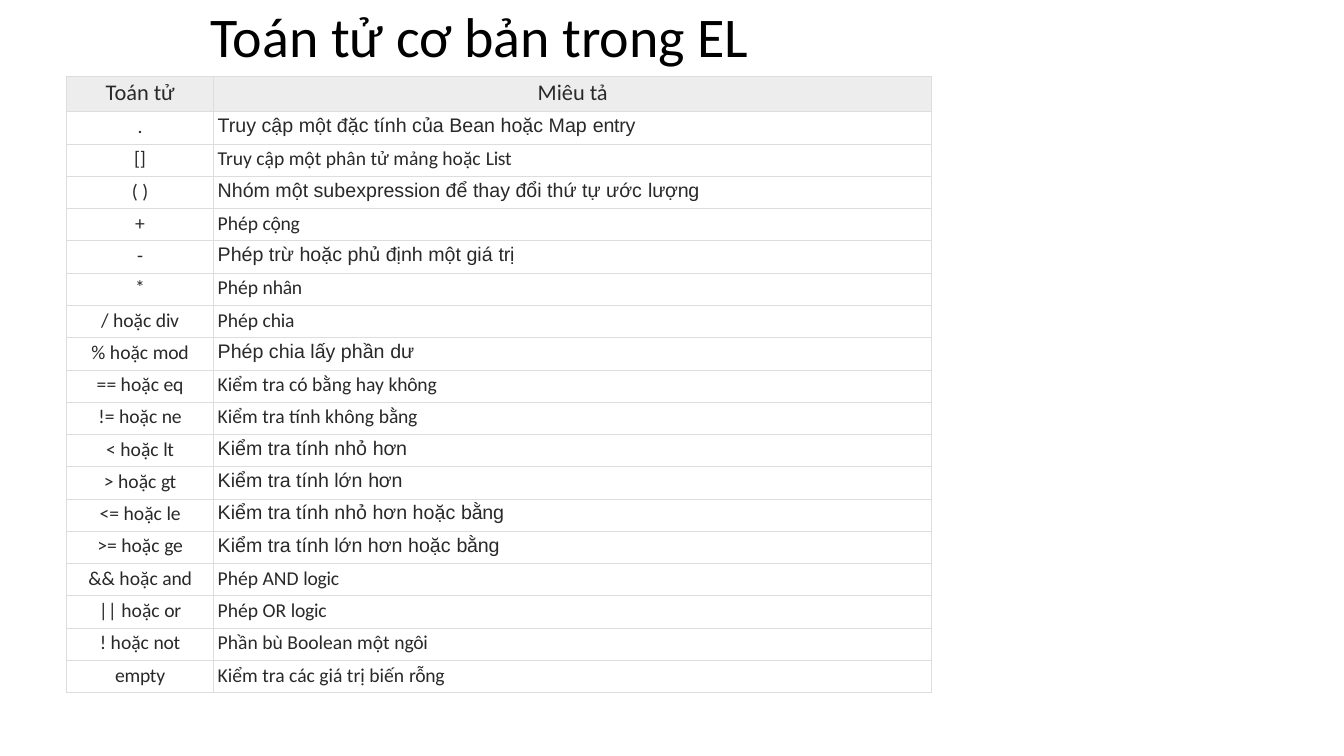
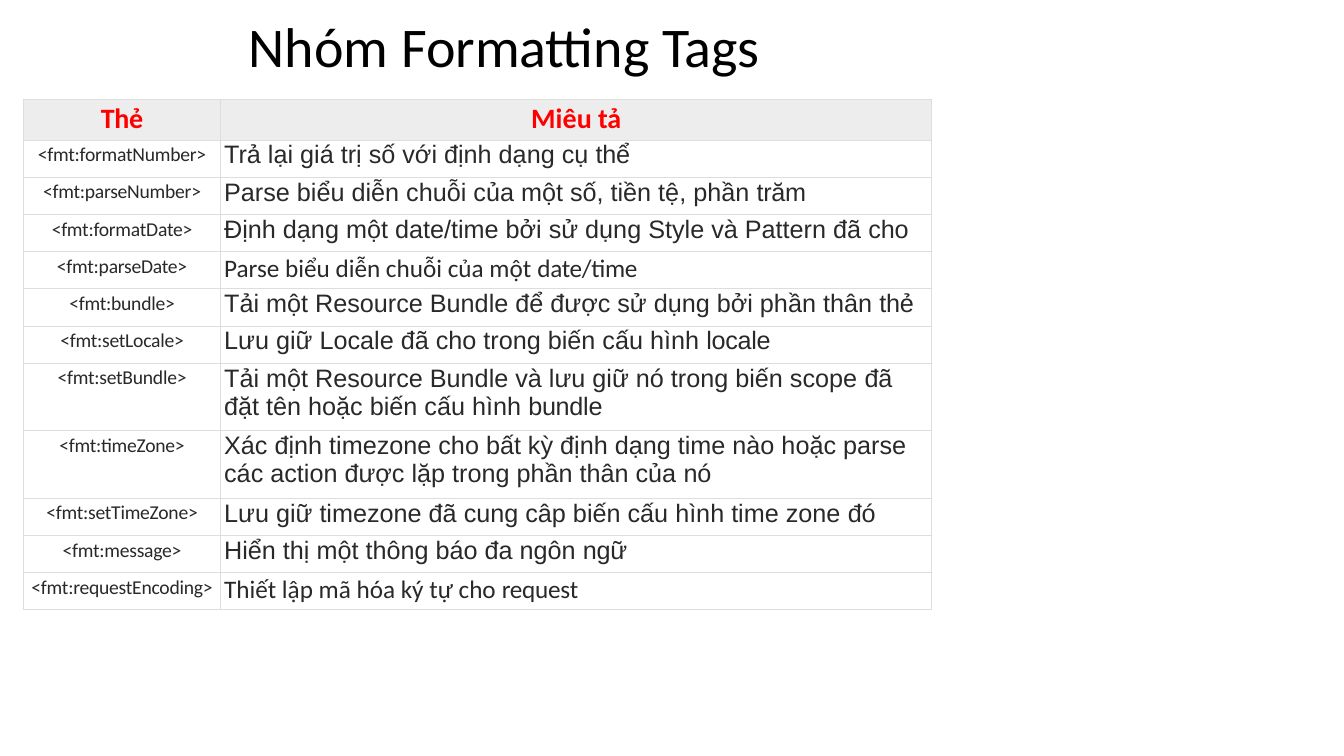
from lxml import etree
from pptx import Presentation, util as u
from pptx.dml.color import RGBColor
from pptx.enum import text
from pptx.oxml.ns import qn

C = {"title": "000000", "body": "292929", "red": "FF0000",
     "header": "EDEDED", "border": "DDDDDD"}
CENTER, LEFT = text.PP_ALIGN.CENTER, text.PP_ALIGN.LEFT

prs = Presentation()
prs.slide_width, prs.slide_height = u.Inches(13.33), u.Inches(7.5)
# Grid of 100 columns by 100 rows
COL, ROW = prs.slide_width / 100, prs.slide_height / 100


def add_text(tf, content, size, font, color, align, bold=False):
    """Write one paragraph per line, with the last word set slightly tighter."""
    for i, line in enumerate(content.split("\n")):
        p = tf.paragraphs[0] if i == 0 else tf.add_paragraph()
        p.alignment = align
        lead, space, last = line.rpartition(" ")
        for part, spacing in ((lead + space, 0), (last, -20)):
            if part:
                r = p.add_run()
                r.text = part
                r.font.size, r.font.name, r.font.bold = u.Pt(size), font, bold
                r.font.color.rgb = RGBColor.from_string(color)
                r.font._element.set("spc", str(spacing))


def style_cell(cell, fill, top, left):
    """Set margins, fill and the four thin borders of a cell."""
    cell.margin_top, cell.margin_left = int(top * ROW), int(left * COL)
    cell.margin_right = cell.margin_bottom = 0
    if fill:
        cell.fill.solid()
        cell.fill.fore_color.rgb = RGBColor.from_string(fill)
    else:
        cell.fill.background()
    tcPr = cell._tc.get_or_add_tcPr()
    for i, side in enumerate(("lnL", "lnR", "lnT", "lnB")):
        ln = etree.Element(qn("a:" + side), w=str(u.Pt(0.75)))
        solid = etree.SubElement(ln, qn("a:solidFill"))
        etree.SubElement(solid, qn("a:srgbClr"), val=C["border"])
        tcPr.insert(i, ln)


# Rows: first column, description, description font
operators = [
    (".", "Truy cập một đặc tính của Bean hoặc Map entry", "Arial"),
    ("[]", "Truy cập một phân tử mảng hoặc List", "Calibri"),
    ("( )", "Nhóm một subexpression để thay đổi thứ tự ước lượng", "Arial"),
    ("+", "Phép cộng", "Calibri"),
    ("-", "Phép trừ hoặc phủ định một giá trị", "Arial"),
    ("*", "Phép nhân", "Calibri"),
    ("/ hoặc div", "Phép chia", "Calibri"),
    ("% hoặc mod", "Phép chia lấy phần dư", "Arial"),
    ("== hoặc eq", "Kiểm tra có bằng hay không", "Calibri"),
    ("!= hoặc ne", "Kiểm tra tính không bằng", "Calibri"),
    ("< hoặc lt", "Kiểm tra tính nhỏ hơn", "Arial"),
    ("> hoặc gt", "Kiểm tra tính lớn hơn", "Arial"),
    ("<= hoặc le", "Kiểm tra tính nhỏ hơn hoặc bằng", "Arial"),
    (">= hoặc ge", "Kiểm tra tính lớn hơn hoặc bằng", "Arial"),
    ("&& hoặc and", "Phép AND logic", "Calibri"),
    ("|| hoặc or", "Phép OR logic", "Calibri"),
    ("! hoặc not", "Phần bù Boolean một ngôi", "Calibri"),
    ("empty", "Kiểm tra các giá trị biến rỗng", "Calibri"),
]
tags = [
    ("<fmt:formatNumber>", "Trả lại giá trị số với định dạng cụ thể", "Arial"),
    ("<fmt:parseNumber>", "Parse biểu diễn chuỗi của một số, tiền tệ, phần trăm", "Arial"),
    ("<fmt:formatDate>", "Định dạng một date/time bởi sử dụng Style và Pattern đã cho", "Arial"),
    ("<fmt:parseDate>", "Parse biểu diễn chuỗi của một date/time", "Calibri"),
    ("<fmt:bundle>", "Tải một Resource Bundle để được sử dụng bởi phần thân thẻ", "Arial"),
    ("<fmt:setLocale>", "Lưu giữ Locale đã cho trong biến cấu hình locale", "Arial"),
    ("<fmt:setBundle>", "Tải một Resource Bundle và lưu giữ nó trong biến scope đã\n"
     "đặt tên hoặc biến cấu hình bundle", "Arial"),
    ("<fmt:timeZone>", "Xác định timezone cho bất kỳ định dạng time nào hoặc parse "
     "các action được lặp trong phần thân của nó", "Arial"),
    ("<fmt:setTimeZone>", "Lưu giữ timezone đã cung câp biến cấu hình time zone đó", "Arial"),
    ("<fmt:message>", "Hiển thị một thông báo đa ngôn ngữ", "Arial"),
    ("<fmt:requestEncoding>", "Thiết lập mã hóa ký tự cho request", "Calibri"),
]

# Boxes, columns, row heights and margins are in grid units
slides = [
    dict(title="Toán tử cơ bản trong EL", title_box=(15.53, -0.13, 40.29, 9.2),
         head=("Toán tử", "Miêu tả"), head_size=16, head_color=C["body"], head_bold=False,
         rows=operators, size=14, origin=(4.95, 10.13), cols=(10.95, 53.41),
         heights=[4.67] + [4.27] * 18, indent=0.3,
         head_top=0.4, top={"Arial": 0.4, "Calibri": 0.4}),
    dict(title="Nhóm Formatting Tags", title_box=(18.3, 1.2, 38.41, 9.2),
         head=("Thẻ", "Miêu tả"), head_size=20, head_color=C["red"], head_bold=True,
         rows=tags, size=18, origin=(1.73, 13.2), cols=(14.7, 52.89),
         heights=[5.33] + [4.92] * 6 + [8.93] * 2 + [4.92] * 3, indent=0.25,
         head_top=0.27, top={"Arial": 0.13, "Calibri": 0.27}),
]

for d in slides:
    s = prs.slides.add_slide(prs.slide_layouts[6])

    # Title
    x, y, w, h = d["title_box"]
    tf = s.shapes.add_textbox(int(x * COL), int(y * ROW), int(w * COL), int(h * ROW)).text_frame
    tf.word_wrap = True
    tf.vertical_anchor = text.MSO_ANCHOR.BOTTOM
    tf.margin_left = tf.margin_right = tf.margin_top = tf.margin_bottom = 0
    add_text(tf, d["title"], 40, "Calibri", C["title"], CENTER)

    # Table grid
    x, y = d["origin"]
    table = s.shapes.add_table(len(d["heights"]), 2, int(x * COL), int(y * ROW),
                               int(sum(d["cols"]) * COL), int(sum(d["heights"]) * ROW)).table
    table.first_row = table.horz_banding = False
    for column, width in zip(table.columns, d["cols"]):
        column.width = int(width * COL)
    for row, height in zip(table.rows, d["heights"]):
        row.height = int(height * ROW)

    # Header row
    for j, label in enumerate(d["head"]):
        cell = table.cell(0, j)
        style_cell(cell, C["header"], d["head_top"], 0)
        add_text(cell.text_frame, label, d["head_size"], "Calibri", d["head_color"],
                 CENTER, d["head_bold"])

    # Body rows
    for i, (name, description, font) in enumerate(d["rows"], 1):
        cell = table.cell(i, 0)
        style_cell(cell, None, 0.4, 0)
        add_text(cell.text_frame, name, 14, "Calibri", C["body"], CENTER)
        cell = table.cell(i, 1)
        style_cell(cell, None, d["top"][font], d["indent"])
        add_text(cell.text_frame, description, d["size"], font, C["body"], LEFT)

prs.save("out.pptx")
